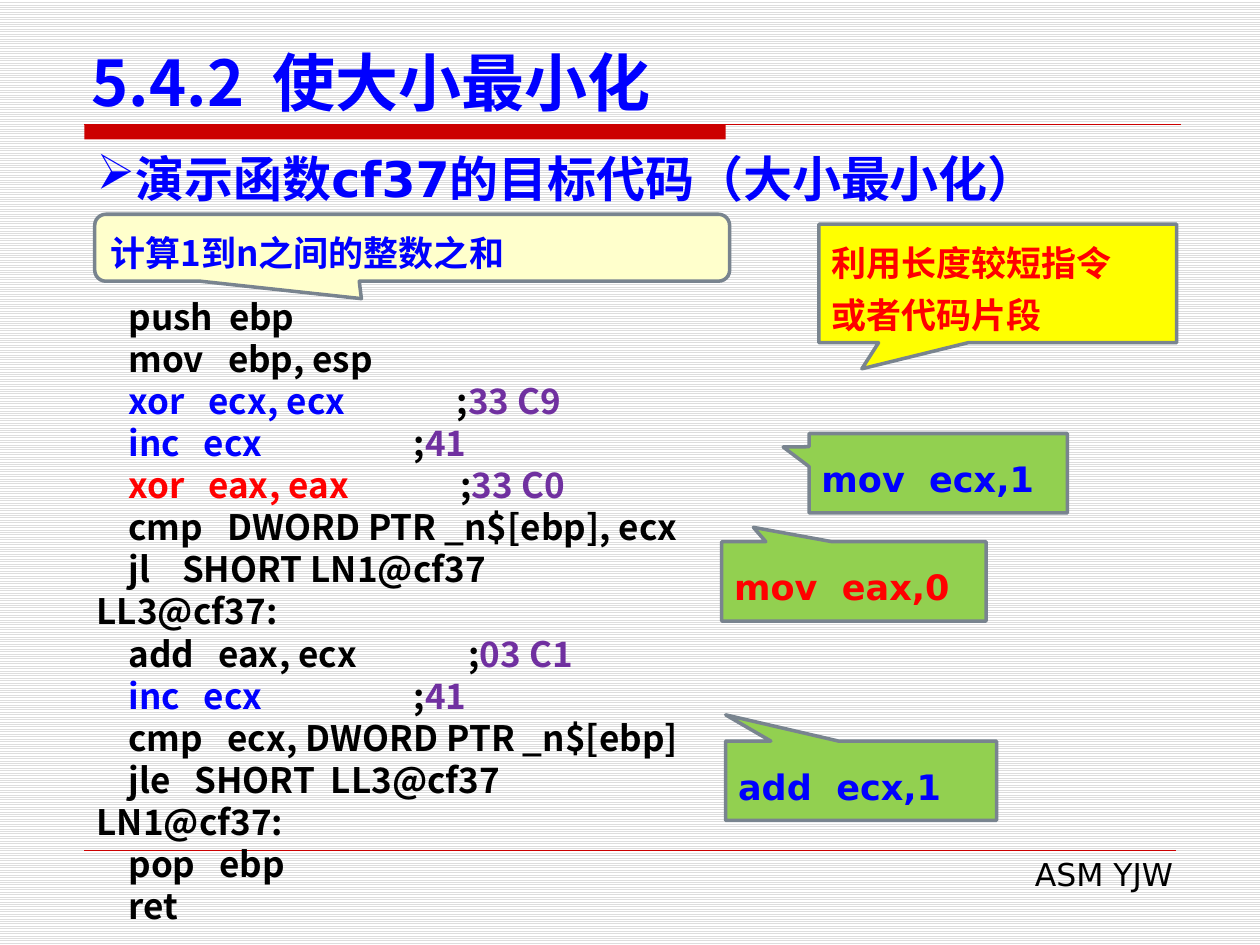
from lxml.etree import SubElement
from pptx import Presentation
from pptx.dml.color import RGBColor
from pptx.enum.dml import MSO_PATTERN
from pptx.enum.shapes import MSO_CONNECTOR, MSO_SHAPE
from pptx.enum.text import MSO_ANCHOR, PP_ALIGN
from pptx.oxml.ns import qn
from pptx.util import Cm, Pt

SANS, CJK = "DejaVu Sans", "Noto Sans CJK SC"
BLACK, BLUE, RED, PURPLE = "000000", "0000FF", "FF0000", "7030A0"
RULE_RED = "CC0000"
color = RGBColor.from_string


def write(box, lines, size, font=CJK, ink=BLACK, bold=True, align=PP_ALIGN.LEFT,
          anchor=MSO_ANCHOR.TOP, spacing=None, bullet=None):
    """Fill a box; a line is a string or a list of (text, colour) spans."""
    frame = box.text_frame
    frame.word_wrap = True
    frame.vertical_anchor = anchor
    for number, line in enumerate(lines):
        paragraph = frame.paragraphs[0] if number == 0 else frame.add_paragraph()
        paragraph.alignment = align
        if spacing:
            paragraph.line_spacing = Pt(spacing)
        if bullet:
            SubElement(paragraph._p.get_or_add_pPr(), qn("a:buChar"), char=bullet)
        for text, span_ink in [(line, ink)] if isinstance(line, str) else line:
            span = paragraph.add_run()
            span.text = text
            span.font.size = Pt(size)
            span.font.bold = bold
            span.font.color.rgb = color(span_ink)
            span.font.name = font
            SubElement(span._r.get_or_add_rPr(), qn("a:ea"), typeface=CJK)


deck = Presentation()
deck.slide_width, deck.slide_height = Cm(25.4), Cm(19.05)
page = deck.slides.add_slide(deck.slide_layouts[6])
shapes = page.shapes

background = page.background.fill
background.patterned()
background.pattern = MSO_PATTERN.LIGHT_HORIZONTAL
background.fore_color.rgb = color("DDDDDD")
background.back_color.rgb = color("FFFFFF")

# Red bar under the title, and the two thin rules
bar = shapes.add_shape(MSO_SHAPE.RECTANGLE, Cm(1.7), Cm(2.51), Cm(12.93), Cm(0.3))
bar.shadow.inherit = False
bar.fill.solid()
bar.fill.fore_color.rgb = color(RULE_RED)
bar.line.fill.background()
for right, top, width in [(23.8, 2.51, 0.75), (23.7, 17.15, 0.25)]:
    rule = shapes.add_connector(MSO_CONNECTOR.STRAIGHT, Cm(1.7), Cm(top), Cm(right), Cm(top))
    rule.line.color.rgb = color(RULE_RED)
    rule.line.width = Pt(width)
    SubElement(rule._element.spPr, qn("a:effectLst"))

# Title, heading, code and footer
code = [
    "    push  ebp",
    "    mov   ebp, esp",
    [("    xor   ecx, ecx              ", BLUE), (";", BLACK), ("33 C9", PURPLE)],
    [("    inc   ecx                   ", BLUE), (";", BLACK), ("41", PURPLE)],
    [("    xor   eax, eax              ", RED), (";", BLACK), ("33 C0", PURPLE)],
    "    cmp   DWORD PTR _n$[ebp], ecx",
    "    jl    SHORT LN1@cf37",
    "LL3@cf37:",
    [("    add   eax, ecx              ;", BLACK), ("03 C1", PURPLE)],
    [("    inc   ecx                   ", BLUE), (";", BLACK), ("41", PURPLE)],
    "    cmp   ecx, DWORD PTR _n$[ebp]",
    "    jle   SHORT  LL3@cf37",
    "LN1@cf37:",
    "    pop   ebp",
    "    ret",
]
texts = [
    ((1.6, 0.84, 22.22, 1.68), ["5.4.2  使大小最小化"],
     dict(size=36, ink=BLUE, anchor=MSO_ANCHOR.BOTTOM)),
    ((1.7, 2.87, 22, 1.45), ["演示函数cf37的目标代码（大小最小化）"],
     dict(size=28, font=SANS, ink=BLUE, align=PP_ALIGN.JUSTIFY, bullet="➢")),
    ((1.7, 5.84, 20.19, 13.08), code, dict(size=20, spacing=24)),
    ((9.7, 17.12, 14.2, 1.02), ["ASM YJW"],
     dict(size=18, font=SANS, bold=False, align=PP_ALIGN.RIGHT)),
]
for place, lines, style in texts:
    write(shapes.add_textbox(*map(Cm, place)), lines, **style)

# Callouts: outline, place, pointer, fill, lines, font, ink
SQUARE, ROUND = MSO_SHAPE.RECTANGULAR_CALLOUT, MSO_SHAPE.ROUNDED_RECTANGULAR_CALLOUT
GREEN = "92D050"
callouts = [
    (ROUND, (1.91, 4.32, 12.8, 1.35), (-0.08, 0.76), "FFFFCC",
     ["计算1到n之间的整数之和"], CJK, BLUE),
    (SQUARE, (16.31, 8.74, 5.21, 1.6), (-0.6, -0.33), GREEN, ["mov  ecx,1"], SANS, BLUE),
    (SQUARE, (14.55, 10.92, 5.33, 1.6), (-0.38, -0.68), GREEN, ["mov  eax,0"], SANS, RED),
    (SQUARE, (14.63, 14.94, 5.46, 1.6), (-0.5, -0.83), GREEN, ["add  ecx,1"], SANS, BLUE),
    (SQUARE, (16.51, 4.52, 7.21, 2.39), (-0.38, 0.72), "FFFF00",
     ["利用长度较短指令", "或者代码片段"], CJK, RED),
]
for outline, place, pointer, fill, lines, font, ink in callouts:
    callout = shapes.add_shape(outline, *map(Cm, place))
    callout.shadow.inherit = False
    callout.adjustments[0], callout.adjustments[1] = pointer
    callout.fill.solid()
    callout.fill.fore_color.rgb = color(fill)
    callout.line.color.rgb = color("79848F")
    callout.line.width = Pt(2)
    write(callout, lines, size=20, font=font, ink=ink, anchor=MSO_ANCHOR.MIDDLE, spacing=30)

deck.save("out.pptx")
